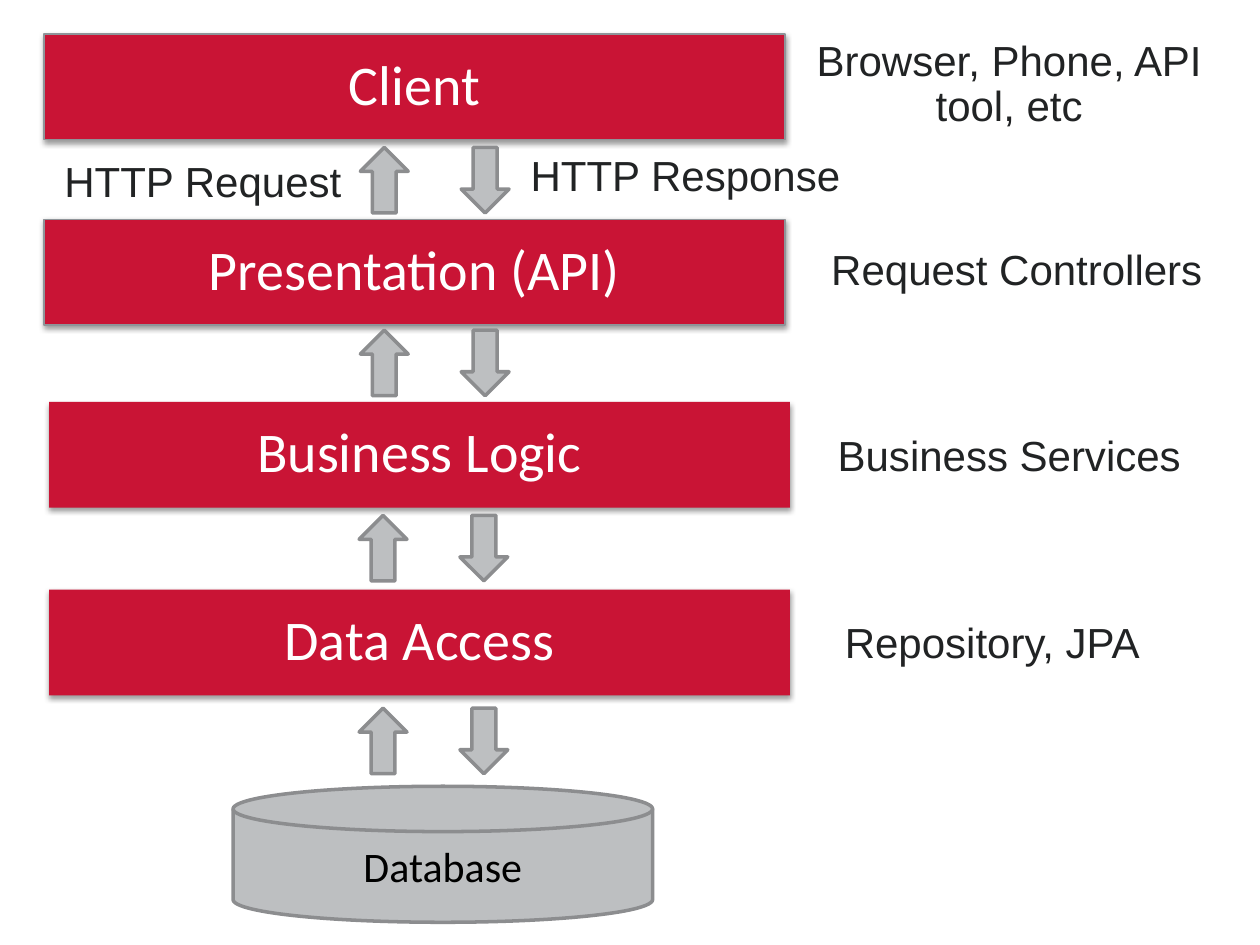
"""Build a slide of a layered web application, from client to database."""
import pptx
import pptx.dml.color
import pptx.enum.shapes
import pptx.enum.text
import pptx.oxml
import pptx.oxml.ns
import pptx.util

Inches = pptx.util.Inches
Pt = pptx.util.Pt
MSO_SHAPE = pptx.enum.shapes.MSO_SHAPE
ANCHOR = pptx.enum.text.MSO_ANCHOR

RED, GREY, EDGE, LAYER_EDGE = "C91435", "BDBFC1", "8C8D8F", "8F9499"
LAYER_FONT = {"name": "Calibri", "size": Pt(32), "color": "FFFFFF"}
DATABASE_FONT = {"name": "Calibri", "size": Pt(24), "color": "000000"}
LABEL_FONT = {"name": "Arial", "size": Pt(24), "color": "212324"}

LAYERS = [
    ("Client", 0.35, 0.27, LAYER_EDGE),
    ("Presentation (API)", 0.35, 1.74, LAYER_EDGE),
    ("Business Logic", 0.39, 3.19, None),
    ("Data Access", 0.39, 4.68, None),
]
ARROW_PAIRS = [(2.86, 1.17), (2.86, 2.62), (2.85, 4.09), (2.85, 5.62)]
LABELS = [
    ("Browser, Phone, API tool, etc", 6.28, 0.22, 3.46, 0.97),
    ("Request Controllers", 6.34, 1.88, 3.46, 0.57),
    ("Business Services", 6.28, 3.35, 3.46, 0.52),
    ("Repository, JPA", 6.54, 4.84, 2.67, 0.52),
    ("HTTP Response", 3.71, 1.13, 3.46, 0.97),
    ("HTTP Request", 0.39, 1.18, 2.44, 0.52),
]
SHADOW = (
    f'<a:outerShdw {pptx.oxml.ns.nsdecls("a")} blurRad="40000" dist="20000"'
    ' dir="5400000" rotWithShape="0"><a:srgbClr val="000000">'
    '<a:alpha val="38000"/></a:srgbClr></a:outerShdw>'
)


def rgb(value):
    """Turn a hex string into a colour."""
    return pptx.dml.color.RGBColor.from_string(value)


class Diagram:
    """Hold the style and the current slide."""

    def __init__(self, slide):
        """Keep the slide to draw on."""
        self.slide = slide

    def put_text(self, sp, text, font, anchor, spacing=None, inset=0.05):
        """Put one centred paragraph in a shape."""
        tf = sp.text_frame
        frame = {
            "word_wrap": True,
            "vertical_anchor": anchor,
            "margin_left": Inches(0.1),
            "margin_right": Inches(0.1),
            "margin_top": Inches(inset),
            "margin_bottom": Inches(inset),
        }
        for name, value in frame.items():
            setattr(tf, name, value)
        p = tf.paragraphs[0]
        p.alignment = pptx.enum.text.PP_ALIGN.CENTER
        p.line_spacing = spacing
        r = p.add_run()
        r.text = text
        for name, value in font.items():
            if name == "color":
                r.font.color.rgb = rgb(value)
            else:
                setattr(r.font, name, value)

    def shape(self, kind, box, fill, line=None, width=2):
        """Add a flat filled shape."""
        sp = self.slide.shapes.add_shape(kind, *map(Inches, box))
        sp.shadow.inherit = False
        sp.fill.solid()
        sp.fill.fore_color.rgb = rgb(fill)
        if line:
            sp.line.color.rgb = rgb(line)
            sp.line.width = Pt(width)
        else:
            sp.line.fill.background()
        return sp

    def layer(self, text, left, top, line):
        """Add a red application layer with a soft shadow."""
        box = (left, top, 5.88, 0.84)
        sp = self.shape(MSO_SHAPE.RECTANGLE, box, RED, line, 0.75)
        effects = sp._element.spPr.find(pptx.oxml.ns.qn("a:effectLst"))
        effects.append(pptx.oxml.parse_xml(SHADOW))
        self.put_text(sp, text, LAYER_FONT, ANCHOR.MIDDLE, 0.9)

    def arrow_pair(self, left, top):
        """Add an upward arrow and a downward arrow side by side."""
        for offset, rotation in ((0, 0), (0.8, 180)):
            box = (left + offset, top, 0.38, 0.52)
            sp = self.shape(MSO_SHAPE.UP_ARROW, box, GREY, EDGE)
            sp.rotation = rotation

    def database(self, text, *box):
        """Add the database cylinder."""
        sp = self.shape(MSO_SHAPE.FLOWCHART_MAGNETIC_DISK, box, GREY, EDGE)
        self.put_text(sp, text, DATABASE_FONT, ANCHOR.MIDDLE)

    def label(self, text, *box):
        """Add a plain text label."""
        sp = self.slide.shapes.add_textbox(*map(Inches, box))
        self.put_text(sp, text, LABEL_FONT, ANCHOR.TOP, 0.9, 0.1)


def main():
    """Draw the layers, the arrows and the labels."""
    prs = pptx.Presentation()
    prs.slide_width, prs.slide_height = Inches(10), Inches(7.5)
    s = prs.slides.add_slide(prs.slide_layouts[6])
    diagram = Diagram(s)
    for layer in LAYERS:
        diagram.layer(*layer)
    diagram.database("Database", 1.85, 6.24, 3.33, 1.08)
    for pair in ARROW_PAIRS:
        diagram.arrow_pair(*pair)
    for label in LABELS:
        diagram.label(*label)
    prs.save("out.pptx")


if __name__ == "__main__":
    main()
